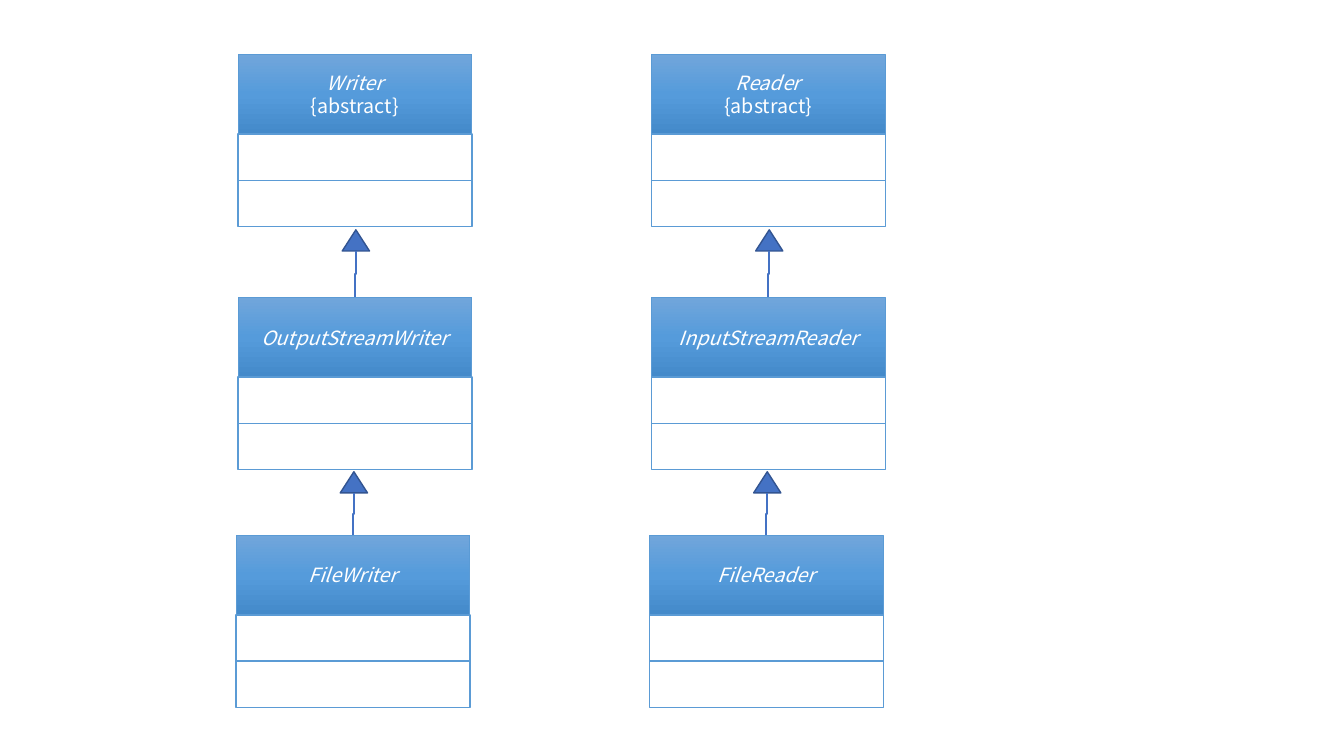
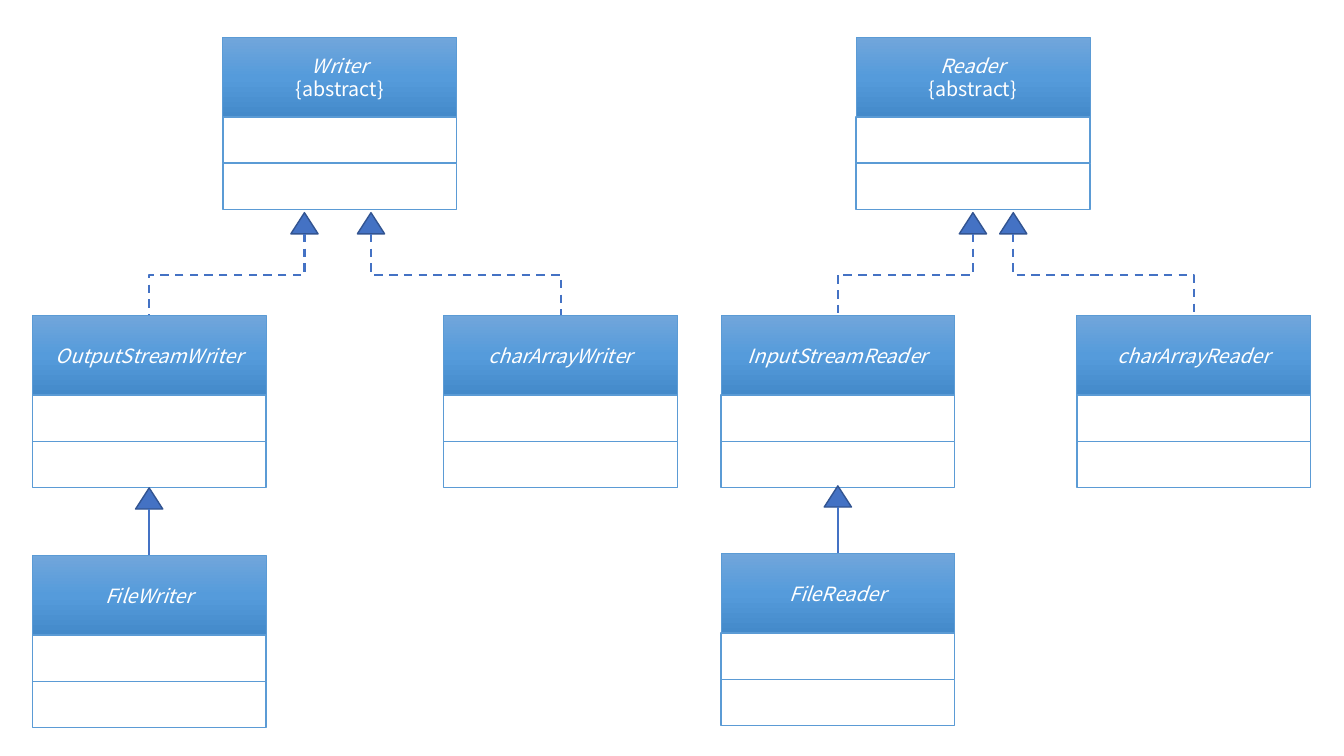
from copy import deepcopy

from pptx import Presentation
from pptx.dml.color import RGBColor
from pptx.enum.dml import MSO_LINE
from pptx.enum.shapes import MSO_CONNECTOR, MSO_SHAPE
from pptx.enum.text import MSO_ANCHOR, PP_ALIGN
from pptx.oxml.ns import qn
from pptx.util import Inches, Pt

COLORS = {
    "header_top": "71A6DB",
    "header_middle": "559BDB",
    "header_bottom": "448ACA",
    "border": "5B9BD5",
    "white": "FFFFFF",
    "arrow": "4472C4",
    "arrow_border": "325491",
}
FONT = "Noto Sans CJK SC"
CLASS_WIDTH = 2.32
HEADER_HEIGHT = 0.79
SECTION_HEIGHT = 0.46
HEAD_WIDTH = 0.27
HEAD_HEIGHT = 0.21


def color(name):
    return RGBColor.from_string(COLORS[name])


def add_box(page, shape_type, left, top, width, height, border, border_width):
    box = page.shapes.add_shape(
        shape_type, Inches(left), Inches(top), Inches(width), Inches(height)
    )
    box.shadow.inherit = False
    box.line.color.rgb = color(border)
    box.line.width = Pt(border_width)
    return box


def fill_solid(box, name):
    box.fill.solid()
    box.fill.fore_color.rgb = color(name)


def fill_header(box):
    box.fill.gradient()
    box.fill.gradient_angle = 270
    stop_list = box._element.spPr.find(".//" + qn("a:gsLst"))
    stop_list.append(deepcopy(stop_list[0]))
    names = ("header_top", "header_middle", "header_bottom")
    for stop, name, position in zip(box.fill.gradient_stops, names, (0, 0.5, 1)):
        stop.color.rgb = color(name)
        stop.position = position


def write_header(box, name, abstract):
    frame = box.text_frame
    frame.word_wrap = True
    frame.vertical_anchor = MSO_ANCHOR.MIDDLE
    frame.text = f"{name}\n{{abstract}}" if abstract else name
    for index, para in enumerate(frame.paragraphs):
        para.alignment = PP_ALIGN.CENTER
        para.font.name = FONT
        para.font.size = Pt(14)
        para.font.italic = index == 0
        para.font.color.rgb = color("white")


def add_class(page, name, left, top, abstract=False):
    header = add_box(
        page, MSO_SHAPE.RECTANGLE, left, top, CLASS_WIDTH, HEADER_HEIGHT, "border", 0.5
    )
    fill_header(header)
    write_header(header, name, abstract)
    for row in range(2):
        section_top = top + HEADER_HEIGHT + row * SECTION_HEIGHT
        section = add_box(
            page, MSO_SHAPE.RECTANGLE, left, section_top,
            CLASS_WIDTH, SECTION_HEIGHT, "border", 1,
        )
        fill_solid(section, "white")


def add_vertical_elbow(page, start_x, start_y, end_x, end_y):
    length, offset = end_y - start_y, abs(end_x - start_x)
    left = (start_x + end_x - length) / 2
    top = (start_y + end_y - offset) / 2
    rightward = end_x > start_x
    begin, end = (left + length, left) if rightward else (left, left + length)
    line = page.shapes.add_connector(
        MSO_CONNECTOR.ELBOW, Inches(begin), Inches(top), Inches(end), Inches(top + offset)
    )
    degrees = 270 if rightward else 90
    line._element.spPr.find(qn("a:xfrm")).set("rot", str(degrees * 60000))
    return line


def add_inheritance(page, tip_x, tip_y, child_x, child_y, dashed=False):
    head = add_box(
        page, MSO_SHAPE.ISOSCELES_TRIANGLE, tip_x - HEAD_WIDTH / 2, tip_y,
        HEAD_WIDTH, HEAD_HEIGHT, "arrow_border", 1,
    )
    fill_solid(head, "arrow")
    start_y = tip_y + HEAD_HEIGHT
    if tip_x == child_x:
        line = page.shapes.add_connector(
            MSO_CONNECTOR.STRAIGHT, Inches(tip_x), Inches(start_y),
            Inches(child_x), Inches(child_y),
        )
    else:
        line = add_vertical_elbow(page, tip_x, start_y, child_x, child_y)
    line.line.color.rgb = color("arrow")
    line.line.width = Pt(1.5)
    if dashed:
        line.line.dash_style = MSO_LINE.DASH
    properties = line._element.spPr
    properties.append(properties.makeelement(qn("a:effectLst"), {}))


def add_chain(page, left, names):
    base, stream, file = names
    add_class(page, base, left, 0.54, abstract=True)
    children = ((stream, left, 2.95, 2.28), (file, left - 0.02, 5.31, 4.68))
    for name, child_left, top, tip_y in children:
        center = child_left + CLASS_WIDTH / 2
        add_class(page, name, child_left, top)
        add_inheritance(page, center + 0.01, tip_y, center, top)


def add_tree(page, base, base_left, branches, file, file_top):
    add_class(page, base, base_left, 0.37, abstract=True)
    for name, left, tip_x in branches:
        add_class(page, name, left, 3.13)
        add_inheritance(page, tip_x, 2.11, left + CLASS_WIDTH / 2, 3.13, dashed=True)
    file_left = branches[0][1]
    center = file_left + CLASS_WIDTH / 2
    add_class(page, file, file_left, file_top)
    add_inheritance(page, center, file_top - 0.67, center, file_top)


def main():
    deck = Presentation()
    deck.slide_width, deck.slide_height = Inches(13.33), Inches(7.5)
    blank = deck.slide_layouts[6]

    chains = deck.slides.add_slide(blank)
    add_chain(chains, 2.36, ("Writer", "OutputStreamWriter", "FileWriter"))
    add_chain(chains, 6.46, ("Reader", "InputStreamReader", "FileReader"))

    trees = deck.slides.add_slide(blank)
    writers = (("OutputStreamWriter", 0.32, 3.02), ("charArrayWriter", 4.4, 3.68))
    readers = (("InputStreamReader", 7.15, 9.65), ("charArrayReader", 10.68, 10.05))
    add_tree(trees, "Writer", 2.21, writers, "FileWriter", 5.51)
    add_tree(trees, "Reader", 8.49, readers, "FileReader", 5.49)

    deck.save("out.pptx")


if __name__ == "__main__":
    main()
